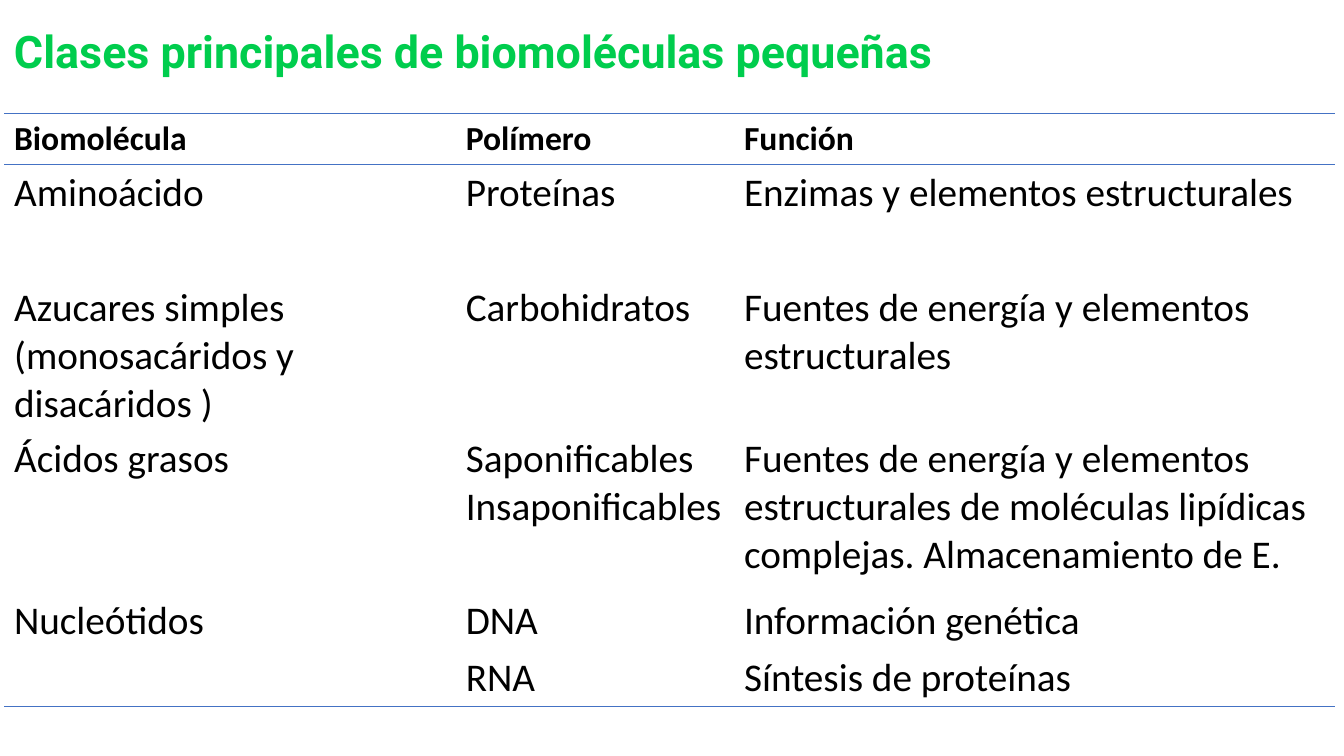
"""Build a slide with a table of the main classes of small biomolecules."""
from lxml import etree
from pptx import Presentation
from pptx import util as u
from pptx.dml.color import RGBColor
from pptx.enum import text
from pptx.oxml import ns

TITLE = "Clases principales de biomoléculas pequeñas"
ROWS = [
    ("Biomolécula", "Polímero", "Función"),
    ("Aminoácido", "Proteínas", "Enzimas y elementos estructurales"),
    ("Azucares simples (monosacáridos y disacáridos )", "Carbohidratos",
     "Fuentes de energía y elementos estructurales"),
    ("Ácidos grasos", "Saponificables\nInsaponificables",
     "Fuentes de energía y elementos estructurales de moléculas lipídicas "
     "complejas. Almacenamiento de E."),
    ("Nucleótidos", "DNA", "Información genética"),
    ("", "RNA", "Síntesis de proteínas"),
]
COLUMN_WIDTHS = [4.48, 2.76, 5.96]
ROW_HEIGHTS = [0.5, 1.14, 1.5, 1.6, 0.57, 0.57]
LEFT, TABLE_TOP = 0.04, 1.13
RULE_COLOR = "4472C4"
RULED_EDGES = {0, 1, len(ROWS)}
TITLE_FORMAT = {"name": "Roboto", "size": u.Pt(32), "bold": True}
HEADER_FORMAT = {"name": "Calibri", "size": u.Pt(24), "bold": True}
BODY_FORMAT = {"name": "Calibri", "size": u.Pt(28), "bold": False}


def color(value):
    return RGBColor.from_string(value)


def write(frame, content, font_format, font_color):
    frame.text = content
    for paragraph in frame.paragraphs:
        for name, value in font_format.items():
            setattr(paragraph.font, name, value)
        paragraph.font.color.rgb = color(font_color)


def set_borders(cell, row):
    properties = cell._tc.get_or_add_tcPr()
    edges = {"lnL": None, "lnR": None, "lnT": row, "lnB": row + 1}
    for position, (tag, edge) in enumerate(edges.items()):
        line = etree.Element(ns.qn(f"a:{tag}"), w=str(u.Pt(1)))
        if edge in RULED_EDGES:
            fill = etree.SubElement(line, ns.qn("a:solidFill"))
            etree.SubElement(fill, ns.qn("a:srgbClr"), val=RULE_COLOR)
        else:
            etree.SubElement(line, ns.qn("a:noFill"))
        properties.insert(position, line)


def add_title(slide):
    shape = slide.shapes.add_textbox(*map(u.Inches, (LEFT, 0.19, 9.5, 0.64)))
    frame = shape.text_frame
    frame.word_wrap = True
    frame.auto_size = text.MSO_AUTO_SIZE.SHAPE_TO_FIT_TEXT
    write(frame, TITLE, TITLE_FORMAT, "00CD4D")


def add_biomolecule_table(slide):
    bounds = (LEFT, TABLE_TOP, sum(COLUMN_WIDTHS), sum(ROW_HEIGHTS))
    table = slide.shapes.add_table(
        len(ROWS), len(COLUMN_WIDTHS), *map(u.Inches, bounds)).table
    table.first_row = table.horz_banding = False
    for column, width in zip(table.columns, COLUMN_WIDTHS):
        column.width = u.Inches(width)
    for row, (contents, height) in enumerate(zip(ROWS, ROW_HEIGHTS)):
        table.rows[row].height = u.Inches(height)
        font_format = BODY_FORMAT if row else HEADER_FORMAT
        for column, content in enumerate(contents):
            cell = table.cell(row, column)
            cell.fill.background()
            write(cell.text_frame, content, font_format, "000000")
            set_borders(cell, row)
    nucleotides = table.cell(len(ROWS) - 2, 0)
    nucleotides.merge(table.cell(len(ROWS) - 1, 0))
    bottom = nucleotides._tc.tcPr.find(ns.qn("a:lnB"))
    merged_bottom = table.cell(len(ROWS) - 1, 0)._tc.tcPr.find(ns.qn("a:lnB"))
    bottom[:] = [etree.fromstring(etree.tostring(merged_bottom[0]))]


def main():
    presentation = Presentation()
    presentation.slide_width = u.Inches(13.33)
    presentation.slide_height = u.Inches(7.5)
    slide = presentation.slides.add_slide(presentation.slide_layouts[6])
    add_title(slide)
    add_biomolecule_table(slide)
    presentation.save("out.pptx")


if __name__ == "__main__":
    main()
